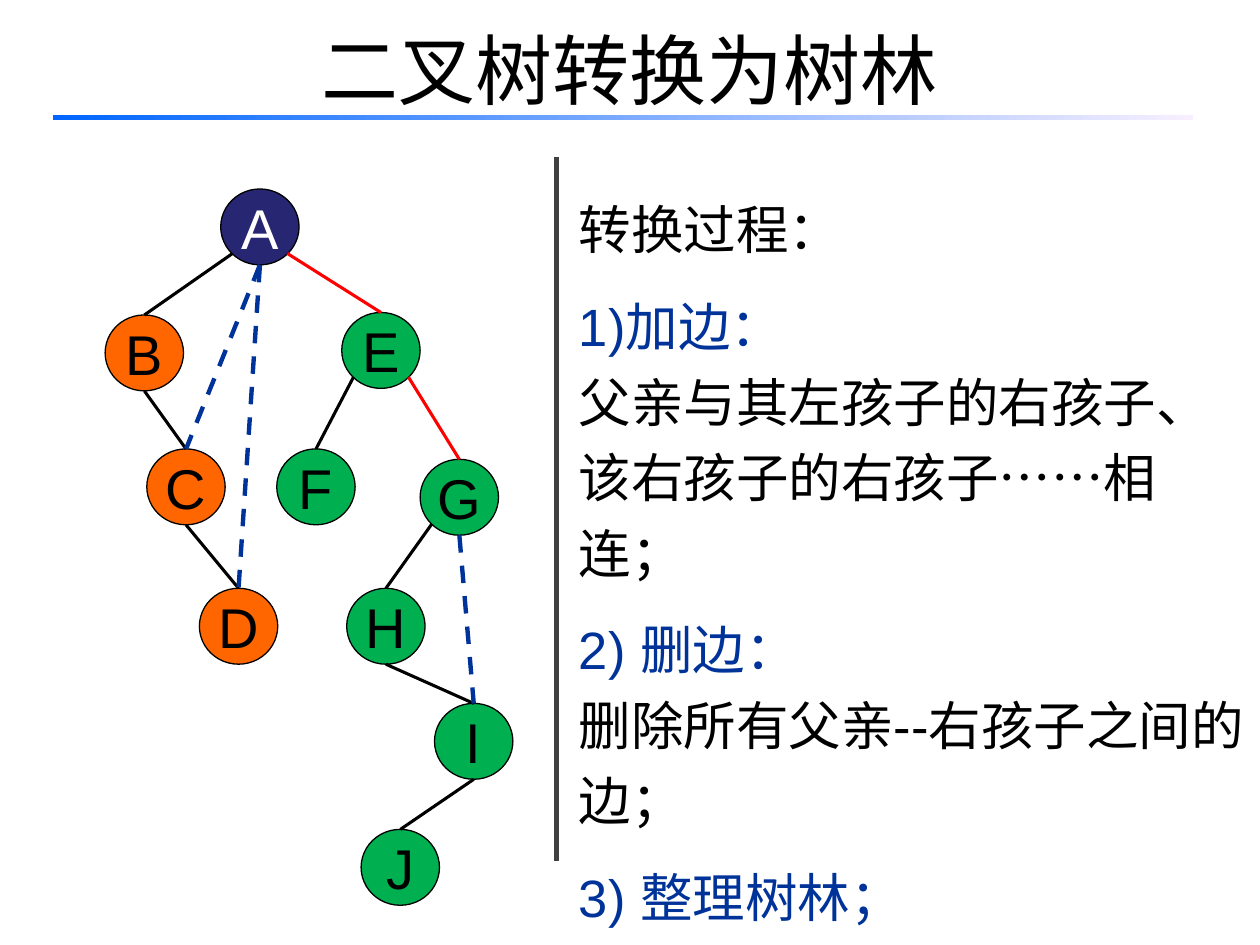
import pptx
import pptx.util
import pptx.dml.color
import pptx.enum.dml
import pptx.enum.shapes
import pptx.enum.text
import pptx.oxml.ns
import lxml.etree

Cm, Pt = pptx.util.Cm, pptx.util.Pt
qn = pptx.oxml.ns.qn
MID = pptx.enum.text.MSO_ANCHOR.MIDDLE
CENTER = pptx.enum.text.PP_ALIGN.CENTER
DASH = pptx.enum.dml.MSO_LINE.DASH
SHAPE = pptx.enum.shapes.MSO_SHAPE
BLACK, WHITE, BLUE, RED = "000000", "FFFFFF", "003399", "FF0000"
NAVY, ORANGE, GREEN = "262673", "FF6600", "00B050"
HAN = "Noto Sans CJK SC"


def ink(code):
    return pptx.dml.color.RGBColor.from_string(code)


def style(para, size, face, color):
    """Format every run, with a Chinese face beside the Latin one."""
    for run in para.runs:
        run.font.size = Pt(size)
        run.font.color.rgb = ink(color)
        run.font.name = face
        props = run.font._element
        lxml.etree.SubElement(props, qn("a:ea")).set("typeface", HAN)


deck = pptx.Presentation()
deck.slide_width, deck.slide_height = Cm(25.4), Cm(19.05)
slide = deck.slides.add_slide(deck.slide_layouts[6])
shapes = slide.shapes

# Steps on the right: text, colour, space before
steps = [
    ("转换过程：", BLACK, 0),
    ("1)加边：", BLUE, 12),
    ("父亲与其左孩子的右孩子、该右孩子的右孩子……相连；", BLACK, 0),
    ("2) 删边：", BLUE, 12),
    ("删除所有父亲--右孩子之间的边；", BLACK, 0),
    ("3) 整理树林；", BLUE, 12),
]
box = shapes.add_textbox(Cm(11.22), Cm(3.6), Cm(14.17), Cm(13.84))
frame = box.text_frame
frame.word_wrap = True
frame.auto_size = pptx.enum.text.MSO_AUTO_SIZE.SHAPE_TO_FIT_TEXT
frame.text = "\n".join(text for text, _, _ in steps)
for para, (_, color, space) in zip(frame.paragraphs, steps):
    props = para._p.get_or_add_pPr()
    props.set("marL", str(Cm(0.2)))
    props.set("indent", "0")
    props.set("hangingPunct", "0")
    para.line_spacing = 1.2
    if space:
        para.space_before = Pt(space)
    style(para, 30, "Arial", color)

# Title and the bar under it
title = shapes.add_textbox(Cm(1.27), Cm(-0.2), Cm(22.86), Cm(3.18))
frame = title.text_frame
frame.word_wrap = True
frame.vertical_anchor = MID
frame.text = "二叉树转换为树林"
frame.paragraphs[0].alignment = CENTER
style(frame.paragraphs[0], 44, HAN, BLACK)

bar = shapes.add_shape(SHAPE.RECTANGLE, Cm(1.06), Cm(2.31), Cm(22.99), Cm(0.11))
bar.shadow.inherit = False
bar.line.fill.background()
bar.fill.gradient()
bar.fill.gradient_angle = 0
for stop, place, color in zip(bar.fill.gradient_stops, (0, 1), ("0066FF", "F7EFFF")):
    stop.position = place
    stop.color.rgb = ink(color)

# Tree nodes: left, top, fill
wide, high = 1.58, 1.53
nodes = {
    "A": (4.45, 3.81, NAVY),
    "B": (2.12, 6.35, ORANGE),
    "C": (2.96, 9.05, ORANGE),
    "D": (4.02, 11.86, ORANGE),
    "E": (6.89, 6.3, GREEN),
    "F": (5.58, 9.05, GREEN),
    "G": (8.47, 9.26, GREEN),
    "H": (6.99, 11.86, GREEN),
    "I": (8.76, 14.18, GREEN),
    "J": (7.28, 16.72, GREEN),
}
for name, (left, top, color) in nodes.items():
    node = shapes.add_shape(SHAPE.OVAL, Cm(left), Cm(top), Cm(wide), Cm(high))
    node.shadow.inherit = False
    node.fill.solid()
    node.fill.fore_color.rgb = ink(color)
    node.line.color.rgb = ink(BLACK)
    node.line.width = Pt(0.75)
    frame = node.text_frame
    frame.word_wrap = False
    frame.vertical_anchor = MID
    frame.text = name
    frame.paragraphs[0].alignment = CENTER
    style(frame.paragraphs[0], 32, "Arial", WHITE if name == "A" else BLACK)

# Edges run from a spot on the parent's rim to the top of the child
spots = {"left": (0.15, 0.85), "mid": (0.5, 1), "right": (0.85, 0.85)}
edges = [
    ("AB", "left", BLACK), ("BC", "mid", BLACK), ("CD", "mid", BLACK),
    ("EF", "left", BLACK), ("GH", "left", BLACK), ("IJ", "mid", BLACK),
    ("HI", "mid", BLACK), ("AE", "right", RED), ("EG", "right", RED),
    ("AC", "mid", BLUE), ("AD", "mid", BLUE), ("GI", "mid", BLUE),
]
lines = [(11.22, 3.17, 11.22, 17.35, "404040", 3)]
for (start, end), spot, color in edges:
    across, down = spots[spot]
    left, top, _ = nodes[start]
    goal, roof, _ = nodes[end]
    lines.append((left + across * wide, top + down * high, goal + wide / 2, roof,
                  color, 2.5 if color == BLUE else 1.75))

for *ends, color, weight in lines:
    line = shapes.add_connector(pptx.enum.shapes.MSO_CONNECTOR.STRAIGHT, *map(Cm, ends))
    line.line.color.rgb = ink(color)
    line.line.width = Pt(weight)
    if color == BLUE:
        line.line.dash_style = DASH
    lxml.etree.SubElement(line._element.spPr, qn("a:effectLst"))

deck.save("out.pptx")
